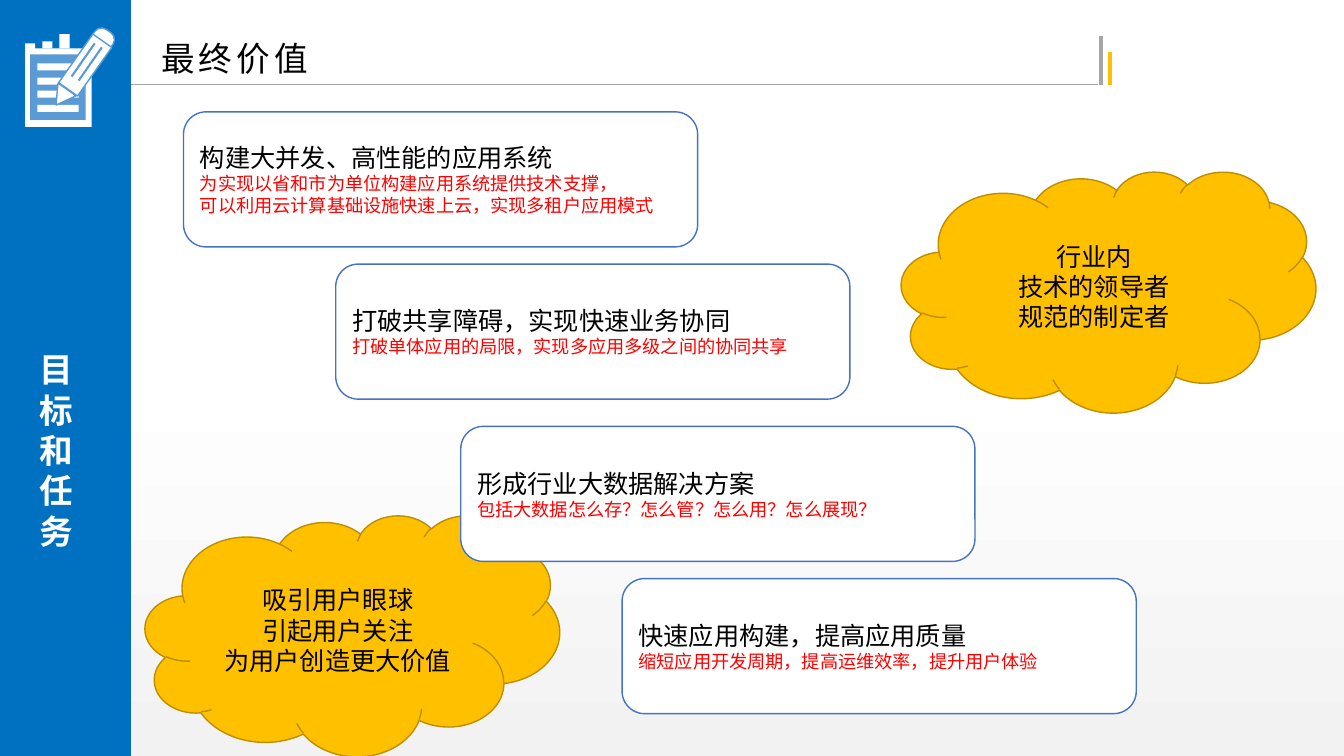
import copy

import lxml.etree
import pptx
import pptx.dml.color
import pptx.enum.shapes
import pptx.enum.text
import pptx.oxml.ns
import pptx.util

PX = 9144  # 100 px to the inch
FONT = "Noto Sans CJK SC"
WHITE, BLACK, RED = "FFFFFF", "000000", "FF0000"
BLUE, PALE_BLUE, BOX_LINE = "0070C0", "5B9BD5", "4472C4"
GOLD, GOLD_LINE, GREY = "FFC000", "BD8E00", "A6A6A6"

SECTION = "目标和任务"
TITLE = "最终价值"
ATTRACTION = ((144, 511), ["吸引用户眼球", "引起用户关注", "为用户创造更大价值"])
LEADERSHIP = ((894, 170), ["行业内", "技术的领导者", "规范的制定者"])
CLOUD_SIZE = (411, 239)
VALUES = [
    ((182, 111), "构建大并发、高性能的应用系统",
     ["为实现以省和市为单位构建应用系统提供技术支撑，",
      "可以利用云计算基础设施快速上云，实现多租户应用模式"]),
    ((333, 262), "打破共享障碍，实现快速业务协同",
     ["打破单体应用的局限，实现多应用多级之间的协同共享"]),
    ((457, 423), "形成行业大数据解决方案",
     ["包括大数据怎么存？怎么管？怎么用？怎么展现？"]),
    ((617, 574), "快速应用构建，提高应用质量",
     ["缩短应用开发周期，提高运维效率，提升用户体验"]),
]
VALUE_SIZE = (510, 134)
RULES = [  # start, end, colour, points
    ((0, 84), (1089, 84), GREY, 0.5),
    ((1092, 84), (1092, 36), GREY, 3),
    ((1101, 84), (1101, 52), GOLD, 3),
]
NOTEPAD = [((25, 48, 66, 78), WHITE), ((30, 54, 55, 65), PALE_BLUE)]
NOTEPAD += [((37, 63 + round(41 * row / 3), 41, 7), WHITE) for row in range(4)]
NOTEPAD += [((25, 43, 10, 7), WHITE), ((42, 41, 10, 7), WHITE), ((59, 34, 10, 14), WHITE)]
PENCIL = [
    ("ROUNDED_RECTANGLE", (91, 29, 22, 20)),
    ("ISOSCELES_TRIANGLE", (50, 87, 22, 19)),
    ("RECTANGLE", (73, 35, 23, 59)),
]
PENCIL_TURN = 215.2
PENCIL_GROOVES = [((94, 43), (71, 76)), ((101, 47), (78, 80))]

LEFT = pptx.enum.text.PP_ALIGN.LEFT
CENTER = pptx.enum.text.PP_ALIGN.CENTER
MIDDLE = pptx.enum.text.MSO_ANCHOR.MIDDLE
BOTTOM = pptx.enum.text.MSO_ANCHOR.BOTTOM


def emu(lengths):
    return [length * PX for length in lengths]


def rgb(colour):
    return pptx.dml.color.RGBColor.from_string(colour)


def add_block(shapes, kind, place, fill, line=None):
    block = shapes.add_shape(pptx.enum.shapes.MSO_SHAPE[kind], *emu(place))
    block.shadow.inherit = False
    block.fill.solid()
    block.fill.fore_color.rgb = rgb(fill)
    if line:
        block.line.color.rgb = rgb(line)
        block.line.width = pptx.util.Pt(1)
    else:
        block.line.fill.background()
    return block


def add_rule(shapes, start, end, colour, points):
    rule = shapes.add_connector(
        pptx.enum.shapes.MSO_CONNECTOR.STRAIGHT, *emu(start + end))
    rule.line.color.rgb = rgb(colour)
    rule.line.width = pptx.util.Pt(points)
    lxml.etree.SubElement(rule._element.spPr, pptx.oxml.ns.qn("a:effectLst"))


def write(holder, lines, align=LEFT, anchor=MIDDLE, wrap=True):
    """Fill a shape with (wording, colour, font formats) lines."""
    frame = holder.text_frame
    frame.word_wrap = wrap
    frame.vertical_anchor = anchor
    for number, (wording, colour, formats) in enumerate(lines):
        paragraph = frame.add_paragraph() if number else frame.paragraphs[0]
        paragraph.alignment = align
        run = paragraph.add_run()
        run.text = wording
        run.font.color.rgb = rgb(colour)
        for name, value in {"name": FONT, **formats}.items():
            setattr(run.font, name, value)
        east_asian = lxml.etree.SubElement(
            run._r.get_or_add_rPr(), pptx.oxml.ns.qn("a:ea"))
        east_asian.set("typeface", FONT)
    return frame


def paint_background(slide):
    """White down to the middle, then fading to light grey."""
    fill = slide.background.fill
    fill.gradient()
    fill.gradient_angle = 270
    for stop, colour in zip(fill.gradient_stops, (WHITE, "F2F2F2")):
        stop.color.rgb = rgb(colour)
    top = slide._element.find(".//" + pptx.oxml.ns.qn("a:gs"))
    middle = copy.deepcopy(top)
    middle.set("pos", "50000")
    top.addnext(middle)


def add_sidebar(shapes):
    add_block(shapes, "RECTANGLE", (0, 0, 130, 750), BLUE)
    icon = shapes.add_group_shape().shapes
    for place, fill in NOTEPAD:
        add_block(icon, "RECTANGLE", place, fill)
    for kind, place in PENCIL:
        part = add_block(icon, kind, place, WHITE, PALE_BLUE)
        part.rotation = PENCIL_TURN
        if kind == "ROUNDED_RECTANGLE":
            part.adjustments[0] = 0.41
    for start, end in PENCIL_GROOVES:
        add_rule(icon, start, end, PALE_BLUE, 1.5)
    section = shapes.add_textbox(*emu((29, 143, 72, 607)))
    frame = write(section, [(SECTION, WHITE, {"size": pptx.util.Pt(24), "bold": True})])
    frame._txBody.bodyPr.set("vert", "wordArtVertRtl")


def add_title(shapes):
    title = shapes.add_textbox(*emu((150, 28, 682, 55)))
    frame = write(title, [(TITLE, BLACK, {"size": pptx.util.Pt(24)})], anchor=BOTTOM)
    heading = frame.paragraphs[0]
    heading.line_spacing = 0.9
    heading.runs[0]._r.get_or_add_rPr().set("spc", "300")


def add_cloud(shapes, corner, wordings):
    cloud = add_block(shapes, "CLOUD", corner + CLOUD_SIZE, GOLD, GOLD_LINE)
    write(cloud, [(wording, BLACK, {"size": pptx.util.Pt(18)}) for wording in wordings],
          align=CENTER)


def add_value(shapes, corner, heading, details):
    box = add_block(shapes, "ROUNDED_RECTANGLE", corner + VALUE_SIZE, WHITE, BOX_LINE)
    lines = [(heading, BLACK, {"size": pptx.util.Pt(18)})]
    lines += [(detail, RED, {"size": pptx.util.Pt(13)}) for detail in details]
    write(box, lines, wrap=False)


def main():
    deck = pptx.Presentation()
    deck.slide_width, deck.slide_height = emu((1333, 750))
    slide = deck.slides.add_slide(deck.slide_layouts[6])
    paint_background(slide)
    shapes = slide.shapes
    for rule in RULES:
        add_rule(shapes, *rule)
    add_sidebar(shapes)
    add_cloud(shapes, *ATTRACTION)
    add_title(shapes)
    for value in VALUES:
        add_value(shapes, *value)
    add_cloud(shapes, *LEADERSHIP)
    deck.save("out.pptx")


if __name__ == "__main__":
    main()
